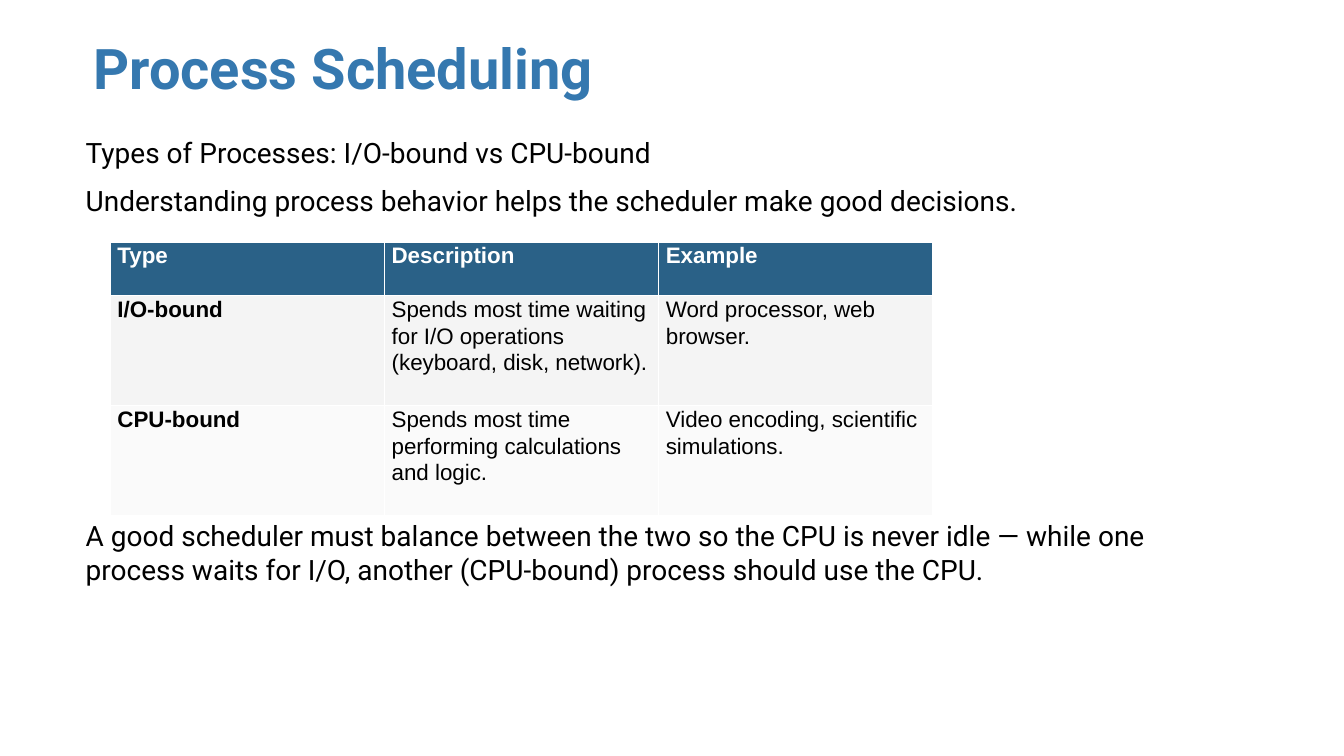
from pptx import Presentation
from pptx.dml.color import RGBColor
from pptx.enum import text
from pptx.util import Cm, Pt

COLORS = {
    "title": "3578AF",
    "body": "000000",
    "header_text": "FFFFFF",
    "header_fill": "2A6187",
    "io_fill": "F4F4F4",
    "cpu_fill": "FAFAFA",
}
INTRO = [
    "Types of Processes: I/O-bound vs CPU-bound",
    "Understanding process behavior helps the scheduler make good decisions.",
]
CLOSING = [
    "A good scheduler must balance between the two so the CPU is never idle — "
    "while one process waits for I/O, another (CPU-bound) process should use the CPU."
]
PROCESS_TYPES = [
    ("Type", "Description", "Example"),
    ("I/O-bound", "Spends most time waiting for I/O operations (keyboard, disk, network).",
     "Word processor, web browser."),
    ("CPU-bound", "Spends most time performing calculations and logic.",
     "Video encoding, scientific simulations."),
]
ROW_FILLS = ["header_fill", "io_fill", "cpu_fill"]
ROW_HEIGHTS = [Cm(1.35), Cm(2.77), Cm(2.77)]
COLUMN_WIDTH = Cm(6.91)


def style(paragraph, font_name, size, color, bold=False):
    for run in paragraph.runs:
        run.font.name = font_name
        run.font.size = Pt(size)
        run.font.bold = bold
        run.font.color.rgb = RGBColor.from_string(COLORS[color])


def add_text(slide, lines, left, top, width, height, size=20, color="body", bold=False):
    frame = slide.shapes.add_textbox(left, top, width, height).text_frame
    frame.word_wrap = True
    frame.text = "\n".join(lines)
    for index, paragraph in enumerate(frame.paragraphs):
        if index:
            paragraph.space_before = Pt(10)
        style(paragraph, "Roboto", size, color, bold)
    return frame


def fill_cell(cell, content, fill, color, bold):
    cell.fill.solid()
    cell.fill.fore_color.rgb = RGBColor.from_string(COLORS[fill])
    cell.margin_left = cell.margin_right = Cm(0.19)
    cell.margin_top = cell.margin_bottom = 0
    cell.text_frame.text = content
    paragraph = cell.text_frame.paragraphs[0]
    paragraph.line_spacing = 1.07
    paragraph.space_after = Pt(8)
    style(paragraph, "Arial", 16, color, bold)


def add_process_table(slide, left, top):
    columns = len(PROCESS_TYPES[0])
    table = slide.shapes.add_table(
        len(PROCESS_TYPES), columns, left, top, COLUMN_WIDTH * columns, sum(ROW_HEIGHTS)
    ).table
    table.horz_banding = False
    for column in table.columns:
        column.width = COLUMN_WIDTH
    for r, (row, contents) in enumerate(zip(table.rows, PROCESS_TYPES)):
        row.height = ROW_HEIGHTS[r]
        for c, content in enumerate(contents):
            color = "body" if r else "header_text"
            fill_cell(table.cell(r, c), content, ROW_FILLS[r], color, r == 0 or c == 0)


def main():
    """Build the process scheduling slide."""
    deck = Presentation()
    deck.slide_width, deck.slide_height = Cm(33.87), Cm(19.05)
    slide = deck.slides.add_slide(deck.slide_layouts[6])
    title = add_text(slide, ["Process Scheduling"], Cm(2.11), Cm(0.89), Cm(29.41), Cm(1.8),
                     size=40, color="title", bold=True)
    title.vertical_anchor = text.MSO_ANCHOR.MIDDLE
    title.paragraphs[0].line_spacing = 0.9
    add_text(slide, INTRO, Cm(1.91), Cm(3.3), Cm(29.64), Cm(2.4))
    add_process_table(slide, Cm(2.77), Cm(6.1))
    add_text(slide, CLOSING, Cm(1.91), Cm(12.95), Cm(29.64), Cm(2))
    deck.save("out.pptx")


if __name__ == "__main__":
    main()
